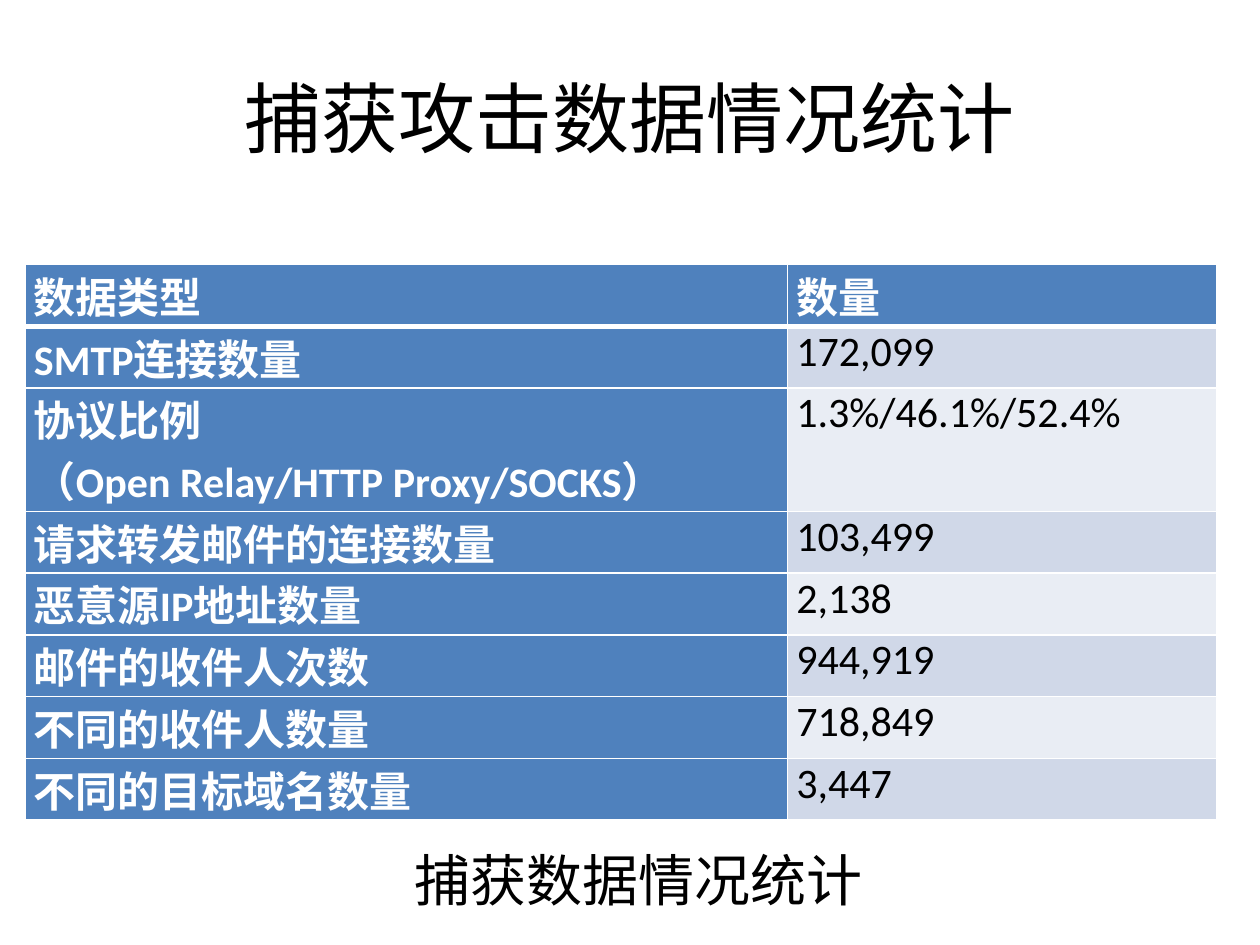
from dataclasses import dataclass
from lxml import etree
from pptx import Presentation
from pptx import util as u
from pptx.dml.color import RGBColor
from pptx.enum import text as t
from pptx.oxml.ns import qn


@dataclass
class Theme:
    font: str = "Calibri"
    ink: str = "000000"
    paper: str = "FFFFFF"
    head: str = "4F81BD"
    bands: tuple = ("D0D8E8", "E9EDF4")
    title: int = 44
    note: int = 32
    body: int = 24


def write(frame, words, size, font, color, bold=False, align=None):
    """Fill a text frame, one paragraph for each line of words."""
    frame.text = words
    for para in frame.paragraphs:
        para.alignment = align
        for run in para.runs:
            run.font.size, run.font.name, run.font.bold = u.Pt(size), font, bold
            run.font.color.rgb = RGBColor.from_string(color)


class Deck:
    """Holds the theme and current slide; lengths are shares of the slide."""

    def __init__(self, theme, wide, high):
        self.theme, self.prs = theme, Presentation()
        self.prs.slide_width, self.prs.slide_height = u.Inches(wide), u.Inches(high)
        self.slide = self.prs.slides.add_slide(self.prs.slide_layouts[6])

    def across(self, share):
        return round(self.prs.slide_width * share)

    def down(self, share):
        return round(self.prs.slide_height * share)

    def label(self, words, x, y, w, h, size, wrap=True, **style):
        box = self.slide.shapes.add_textbox(
            self.across(x), self.down(y), self.across(w), self.down(h))
        frame = box.text_frame
        frame.word_wrap = wrap
        if wrap:
            frame.vertical_anchor = t.MSO_ANCHOR.MIDDLE
        else:
            frame.auto_size = t.MSO_AUTO_SIZE.SHAPE_TO_FIT_TEXT
        write(frame, words, size, self.theme.font, self.theme.ink, **style)

    def border(self, cell, **sides):
        props = cell._tc.get_or_add_tcPr()
        for spot, (side, width) in enumerate(sides.items()):
            line = etree.Element(qn(f"a:ln{side}"), w=str(u.Pt(width)))
            fill = etree.SubElement(line, qn("a:solidFill"))
            etree.SubElement(fill, qn("a:srgbClr"), val=self.theme.paper)
            props.insert(spot, line)

    def table(self, rows, x, y, widths, step):
        th = self.theme
        lines = [max(words.count("\n") + 1 for words in row) for row in rows]
        grid = self.slide.shapes.add_table(
            len(rows), len(widths), self.across(x), self.down(y),
            self.across(sum(widths)), self.down(step * sum(lines))).table
        for col, width in zip(grid.columns, widths):
            col.width = self.across(width)
        for r, row in enumerate(rows):
            grid.rows[r].height = self.down(step * lines[r])
            for c, words in enumerate(row):
                cell = grid.cell(r, c)
                cell.margin_left = cell.margin_right = u.Inches(0.07)
                cell.margin_top = cell.margin_bottom = 0
                # The first row and first column are headings
                key = r == 0 or c == 0
                cell.fill.solid()
                cell.fill.fore_color.rgb = RGBColor.from_string(
                    th.head if key else th.bands[(r - 1) % 2])
                write(cell.text_frame, words, th.body, th.font,
                      th.paper if key else th.ink, bold=key,
                      align=t.PP_ALIGN.JUSTIFY)
                self.border(cell, L=1, R=1, T=3 if r == 1 else 1,
                            B=3 if r == 0 else 1)


theme = Theme()
deck = Deck(theme, 10, 7.5)

# Title
deck.label("捕获攻击数据情况统计", 0.05, 0.04, 0.9, 1 / 6, theme.title,
           align=t.PP_ALIGN.CENTER)

# Counts of captured data
counts = [
    ("数据类型", "数量"),
    ("SMTP连接数量", "172,099"),
    ("协议比例\n（Open Relay/HTTP Proxy/SOCKS）", "1.3%/46.1%/52.4%"),
    ("请求转发邮件的连接数量", "103,499"),
    ("恶意源IP地址数量", "2,138"),
    ("邮件的收件人次数", "944,919"),
    ("不同的收件人数量", "718,849"),
    ("不同的目标域名数量", "3,447"),
]
deck.table(counts, 0.02, 0.28, (0.605, 0.341), 0.49 / 7.5)

# Caption
deck.label("捕获数据情况统计", 0.319, 0.888, 0.379, 0.085, theme.note, wrap=False)

deck.prs.save("out.pptx")
